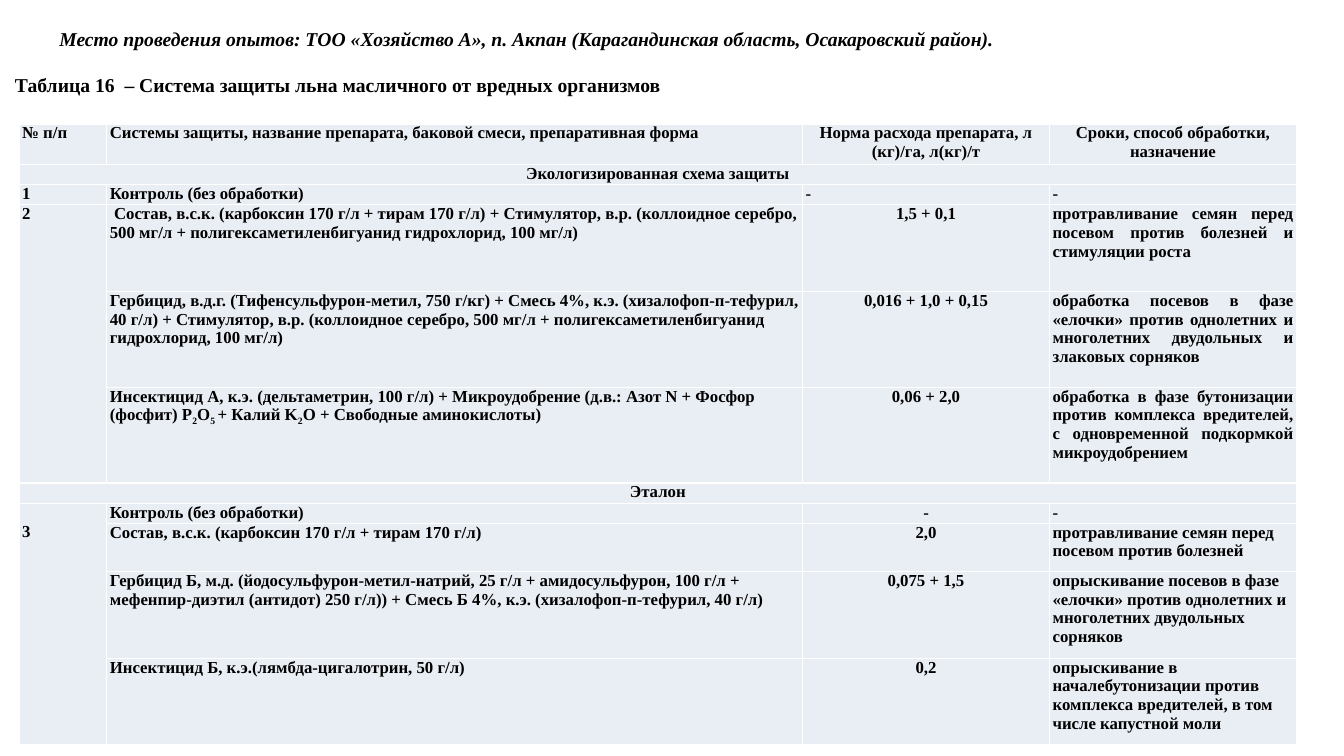
from lxml import etree
from pptx import Presentation
from pptx.dml.color import RGBColor
from pptx.enum.text import MSO_ANCHOR, PP_ALIGN
from pptx.oxml.ns import qn
from pptx.util import Inches, Pt

LEFT, CENTER, JUSTIFY = PP_ALIGN.LEFT, PP_ALIGN.CENTER, PP_ALIGN.JUSTIFY
TOP = MSO_ANCHOR.TOP
COLORS = {"text": "000000", "cell": "E9EDF4", "border": "FFFFFF"}
FONT = "Times New Roman"

# Content: underscores enclose subscripts
PLACE = ("Место проведения опытов: ТОО «Хозяйство А», п. Акпан "
         "(Карагандинская область, Осакаровский район).")
CAPTION = "Таблица 16  – Система защиты льна масличного от вредных организмов"
COLUMN_WIDTHS = [0.87, 6.9, 2.45, 2.45]

# Each row: height, alignments, cell texts (one text spans the whole row)
HEADER = (LEFT, LEFT, CENTER, CENTER)
PLAIN = (LEFT, LEFT, LEFT, LEFT)
RATE = (LEFT, LEFT, CENTER, LEFT)
TREATMENT = (LEFT, LEFT, CENTER, JUSTIFY)
SECTION = (CENTER,)
ROWS = [
    (0.39, HEADER, ["№ п/п",
                    "Системы защиты, название препарата, баковой смеси, препаративная форма",
                    "Норма расхода препарата, л (кг)/га, л(кг)/т",
                    "Сроки, способ обработки, назначение"]),
    (0.2, SECTION, ["Экологизированная схема защиты"]),
    (0.2, PLAIN, ["1", "Контроль (без обработки)", "-", "-"]),
    (0.86, TREATMENT, ["2",
                       " Состав, в.с.к. (карбоксин 170 г/л + тирам 170 г/л) + Стимулятор, в.р. "
                       "(коллоидное серебро, 500 мг/л + полигексаметиленбигуанид гидрохлорид, 100 мг/л)",
                       "1,5 + 0,1",
                       "протравливание семян перед посевом против болезней и стимуляции роста"]),
    (0.95, TREATMENT, ["",
                       "Гербицид, в.д.г. (Тифенсульфурон-метил, 750 г/кг) + Смесь 4%, к.э. "
                       "(хизалофоп-п-тефурил, 40 г/л) + Стимулятор, в.р. (коллоидное серебро, "
                       "500 мг/л + полигексаметиленбигуанид гидрохлорид, 100 мг/л)",
                       "0,016 + 1,0 + 0,15",
                       "обработка посевов в фазе «елочки» против однолетних и многолетних "
                       "двудольных и злаковых сорняков"]),
    (0.95, TREATMENT, ["",
                       "Инсектицид А, к.э. (дельтаметрин, 100 г/л) + Микроудобрение (д.в.: Азот N "
                       "+ Фосфор (фосфит) P_2_O_5 _+ Калий K_2_O + Свободные аминокислоты)",
                       "0,06 + 2,0",
                       "обработка в фазе бутонизации против комплекса вредителей, "
                       "с одновременной подкормкой микроудобрением"]),
    (0.2, SECTION, ["Эталон"]),
    (0.2, RATE, ["3", "Контроль (без обработки)", "-", "-"]),
    (0.48, RATE, ["", "Состав, в.с.к. (карбоксин 170 г/л + тирам 170 г/л)", "2,0",
                  "протравливание семян перед посевом против болезней"]),
    (0.86, RATE, ["",
                  "Гербицид Б, м.д. (йодосульфурон-метил-натрий, 25 г/л + амидосульфурон, "
                  "100 г/л + мефенпир-диэтил (антидот) 250 г/л)) + Смесь Б 4%, к.э. "
                  "(хизалофоп-п-тефурил, 40 г/л)",
                  "0,075 + 1,5",
                  "опрыскивание посевов в фазе «елочки» против однолетних и многолетних "
                  "двудольных сорняков"]),
    (0.86, RATE, ["", "Инсектицид Б, к.э.(лямбда-цигалотрин, 50 г/л)", "0,2",
                  "опрыскивание в началебутонизации против комплекса вредителей, "
                  "в том числе капустной моли"]),
]
NUMBER_SPANS = [(3, 5), (7, 10)]
SECOND_NUMBER = (7, 0)


def write(para, text, size, align=LEFT, italic=False):
    para.alignment = align
    for index, part in enumerate(text.split("_")):
        span = para.add_run()
        span.text = part
        if index % 2:
            span._r.get_or_add_rPr().set("baseline", "-25000")
    font = para.font
    font.name, font.size, font.bold, font.italic = FONT, Pt(size), True, italic
    font.color.rgb = RGBColor.from_string(COLORS["text"])


def style_cell(cell):
    cell.margin_left = cell.margin_right = Inches(0.03)
    cell.margin_top = cell.margin_bottom = 0
    cell.vertical_anchor = TOP
    properties = cell._tc.get_or_add_tcPr()
    for side in ("a:lnL", "a:lnR", "a:lnT", "a:lnB"):
        line = etree.SubElement(properties, qn(side), w=str(Pt(1)))
        fill = etree.SubElement(line, qn("a:solidFill"))
        etree.SubElement(fill, qn("a:srgbClr"), val=COLORS["border"])
    cell.fill.solid()
    cell.fill.fore_color.rgb = RGBColor.from_string(COLORS["cell"])


deck = Presentation()
deck.slide_width, deck.slide_height = Inches(13.33), Inches(7.5)
page = deck.slides.add_slide(deck.slide_layouts[6])

# Place and table caption
box = page.shapes.add_textbox(0, Inches(0.1), Inches(12.35), Inches(0.93))
frame = box.text_frame
frame.word_wrap = True
place = frame.paragraphs[0]
place._p.get_or_add_pPr().set("indent", str(Inches(0.49)))
place.line_spacing = 1.5
write(place, PLACE, 14, JUSTIFY, italic=True)
caption = frame.add_paragraph()
caption._p.get_or_add_pPr().set("marL", str(Inches(0.05)))
caption.space_before = Pt(16)
write(caption, CAPTION, 14)

# Protection table
table = page.shapes.add_table(
    len(ROWS), len(COLUMN_WIDTHS), Inches(0.19), Inches(1.23),
    Inches(sum(COLUMN_WIDTHS)), Inches(sum(row[0] for row in ROWS))).table
table.first_row = table.horz_banding = False
for column, width in zip(table.columns, COLUMN_WIDTHS):
    column.width = Inches(width)
for row_index, (height, aligns, texts) in enumerate(ROWS):
    table.rows[row_index].height = Inches(height)
    for cell in table.rows[row_index].cells:
        style_cell(cell)
        cell.text_frame.paragraphs[0].font.size = Pt(12)
    for column_index, (align, text) in enumerate(zip(aligns, texts)):
        if text:
            para = table.cell(row_index, column_index).text_frame.paragraphs[0]
            write(para, text, 12, align)
    if len(texts) == 1:
        table.cell(row_index, 0).merge(table.cell(row_index, len(COLUMN_WIDTHS) - 1))
for first, last in NUMBER_SPANS:
    table.cell(first, 0).merge(table.cell(last, 0))
table.cell(*SECOND_NUMBER).margin_top = Inches(0.19)

deck.save("out.pptx")
